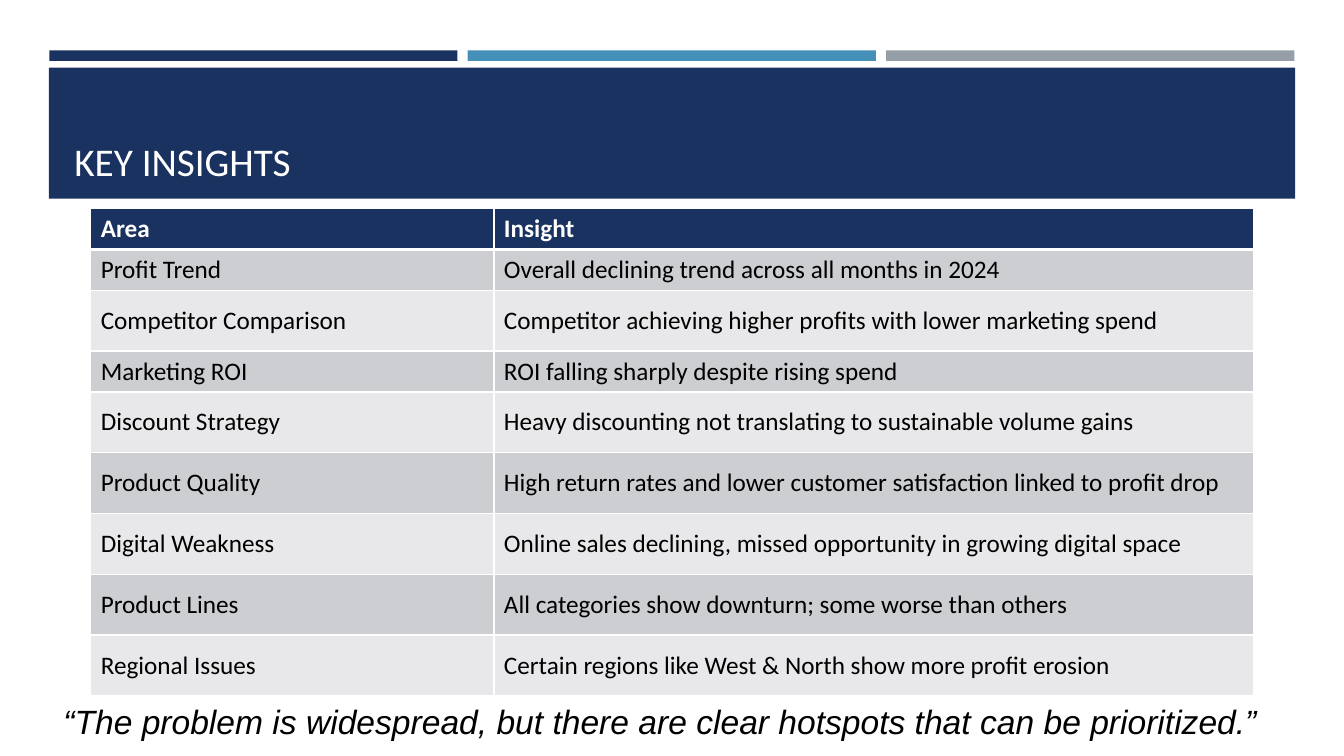
from dataclasses import dataclass

from lxml import etree
from pptx import Presentation
from pptx.dml.color import RGBColor
from pptx.enum.shapes import MSO_SHAPE
from pptx.enum.text import MSO_ANCHOR
from pptx.oxml.ns import qn
from pptx.util import Pt

RECT = MSO_SHAPE.RECTANGLE
TOP, MIDDLE, BOTTOM = MSO_ANCHOR.TOP, MSO_ANCHOR.MIDDLE, MSO_ANCHOR.BOTTOM


@dataclass(frozen=True)
class Theme:
    navy: str = "1A3260"
    blue: str = "4590B8"
    grey: str = "969FA7"
    white: str = "FFFFFF"
    black: str = "000000"
    band_dark: str = "CDCED2"
    band_light: str = "E8E8EA"
    font: str = "Calibri"
    quote_font: str = "Arial"
    title_size: float = 28
    table_size: float = 18
    quote_size: float = 24
    rule: float = 1
    header_rule: float = 3


INSIGHTS = [
    ("Area", "Insight"),
    ("Profit Trend", "Overall declining trend across all months in 2024"),
    ("Competitor Comparison", "Competitor achieving higher profits with lower marketing spend"),
    ("Marketing ROI", "ROI falling sharply despite rising spend"),
    ("Discount Strategy", "Heavy discounting not translating to sustainable volume gains"),
    ("Product Quality", "High return rates and lower customer satisfaction linked to profit drop"),
    ("Digital Weakness", "Online sales declining, missed opportunity in growing digital space"),
    ("Product Lines", "All categories show downturn; some worse than others"),
    ("Regional Issues", "Certain regions like West & North show more profit erosion"),
]
COL_WIDTHS = (288, 542.9)
SHORT_ROW, TALL_ROW = 29.2, 43.4
SHORT_ROWS = (0, 1, 3)


class SlideBuilder:
    def __init__(self, slide, theme):
        self.s = slide
        self.theme = theme

    def add_run(self, tf, text, color, **formats):
        r = tf.paragraphs[0].add_run()
        r.text = text
        for name, value in formats.items():
            setattr(r.font, name, value)
        r.font.color.rgb = RGBColor.from_string(color)

    def bar(self, left, top, width, height, color):
        sp = self.s.shapes.add_shape(RECT, Pt(left), Pt(top), Pt(width), Pt(height))
        sp.shadow.inherit = False
        sp.fill.solid()
        sp.fill.fore_color.rgb = RGBColor.from_string(color)
        sp.line.fill.background()

    def text(self, box, text, color, anchor=TOP, **formats):
        tf = self.s.shapes.add_textbox(*map(Pt, box)).text_frame
        tf.word_wrap = True
        tf.vertical_anchor = anchor
        self.add_run(tf, text, color, **formats)

    def borders(self, cell, top, bottom):
        """Draw white cell borders; must run before the fill, which follows them in the XML."""
        rule = self.theme.rule
        tc_pr = cell._tc.get_or_add_tcPr()
        for tag, width in (("lnL", rule), ("lnR", rule), ("lnT", top), ("lnB", bottom)):
            ln = etree.SubElement(tc_pr, qn(f"a:{tag}"), w=str(Pt(width)))
            fill = etree.SubElement(ln, qn("a:solidFill"))
            etree.SubElement(fill, qn("a:srgbClr"), val=self.theme.white)

    def cell(self, cell, text, row):
        t = self.theme
        header = row == 0
        self.borders(cell, t.header_rule if row == 1 else t.rule,
                     t.header_rule if header else t.rule)
        band = t.band_dark if row % 2 else t.band_light
        cell.fill.solid()
        cell.fill.fore_color.rgb = RGBColor.from_string(t.navy if header else band)
        cell.vertical_anchor = MIDDLE
        self.add_run(cell.text_frame, text, t.white if header else t.black,
                     name=t.font, size=Pt(t.table_size), bold=header)

    def table(self, left, top, rows, widths, heights):
        frame = self.s.shapes.add_table(len(rows), len(widths), Pt(left), Pt(top),
                                        Pt(sum(widths)), Pt(sum(heights)))
        tbl = frame.table
        for col, width in zip(tbl.columns, widths):
            col.width = Pt(width)
        for i, (values, height) in enumerate(zip(rows, heights)):
            tbl.rows[i].height = Pt(height)
            for j, value in enumerate(values):
                self.cell(tbl.cell(i, j), value, i)


def main():
    prs = Presentation()
    prs.slide_width, prs.slide_height = Pt(960), Pt(540)
    t = Theme()
    b = SlideBuilder(prs.slides.add_slide(prs.slide_layouts[6]), t)

    for i, color in enumerate((t.navy, t.blue, t.grey)):
        b.bar(35.2 + i * 298.9, 36, 291.6, 7.5, color)
    b.bar(34.9, 48.4, 890.3, 93.6, t.navy)
    b.text((46.1, 55.4, 868.3, 80), "KEY INSIGHTS", t.white, BOTTOM,
           name=t.font, size=Pt(t.title_size))

    heights = [SHORT_ROW if i in SHORT_ROWS else TALL_ROW for i in range(len(INSIGHTS))]
    b.table(64.8, 149, INSIGHTS, COL_WIDTHS, heights)
    b.text((38.2, 496.8, 883.4, 36),
           "“The problem is widespread, but there are clear hotspots that can be prioritized.”",
           t.black, name=t.quote_font, size=Pt(t.quote_size), italic=True)
    prs.save("out.pptx")


if __name__ == "__main__":
    main()
